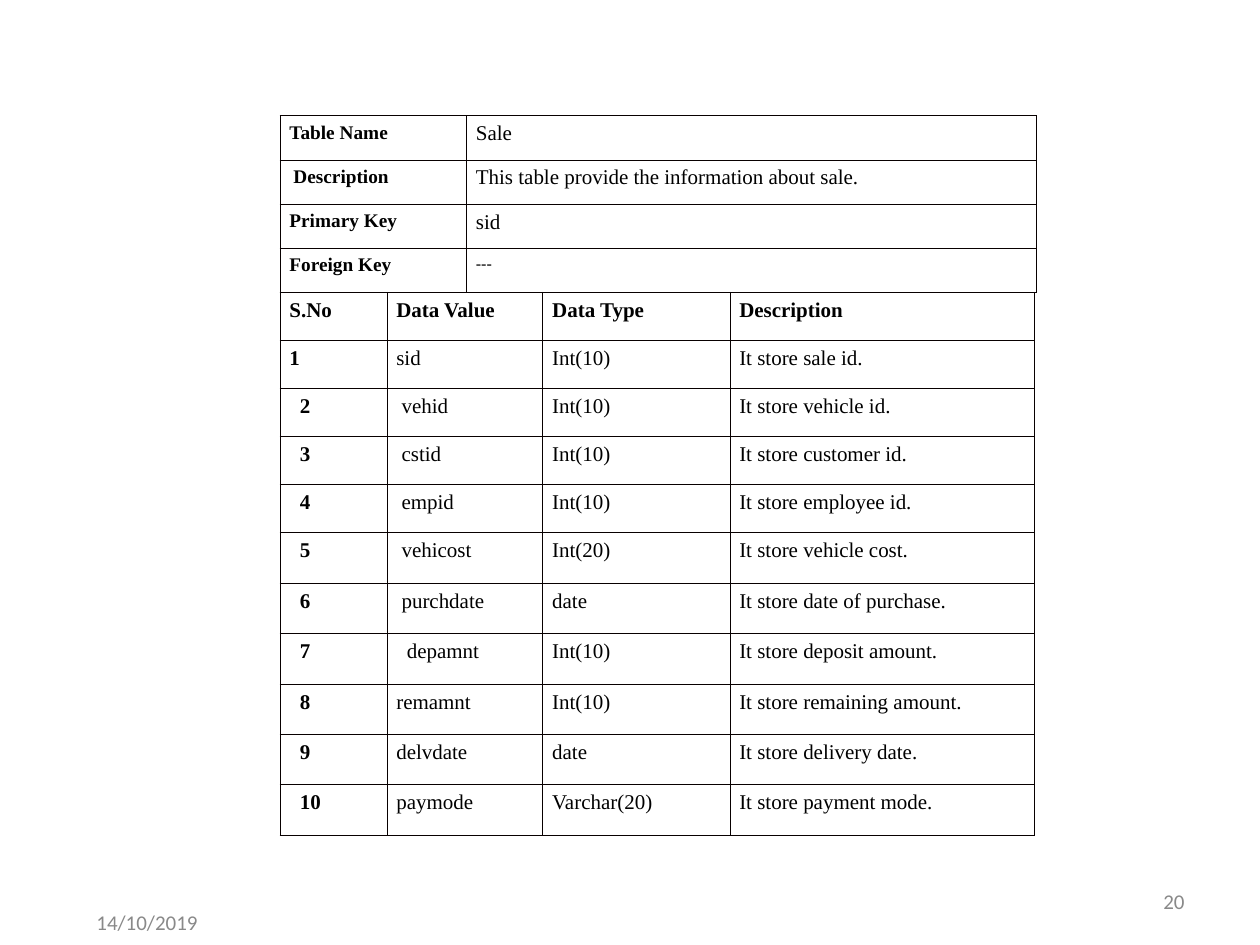
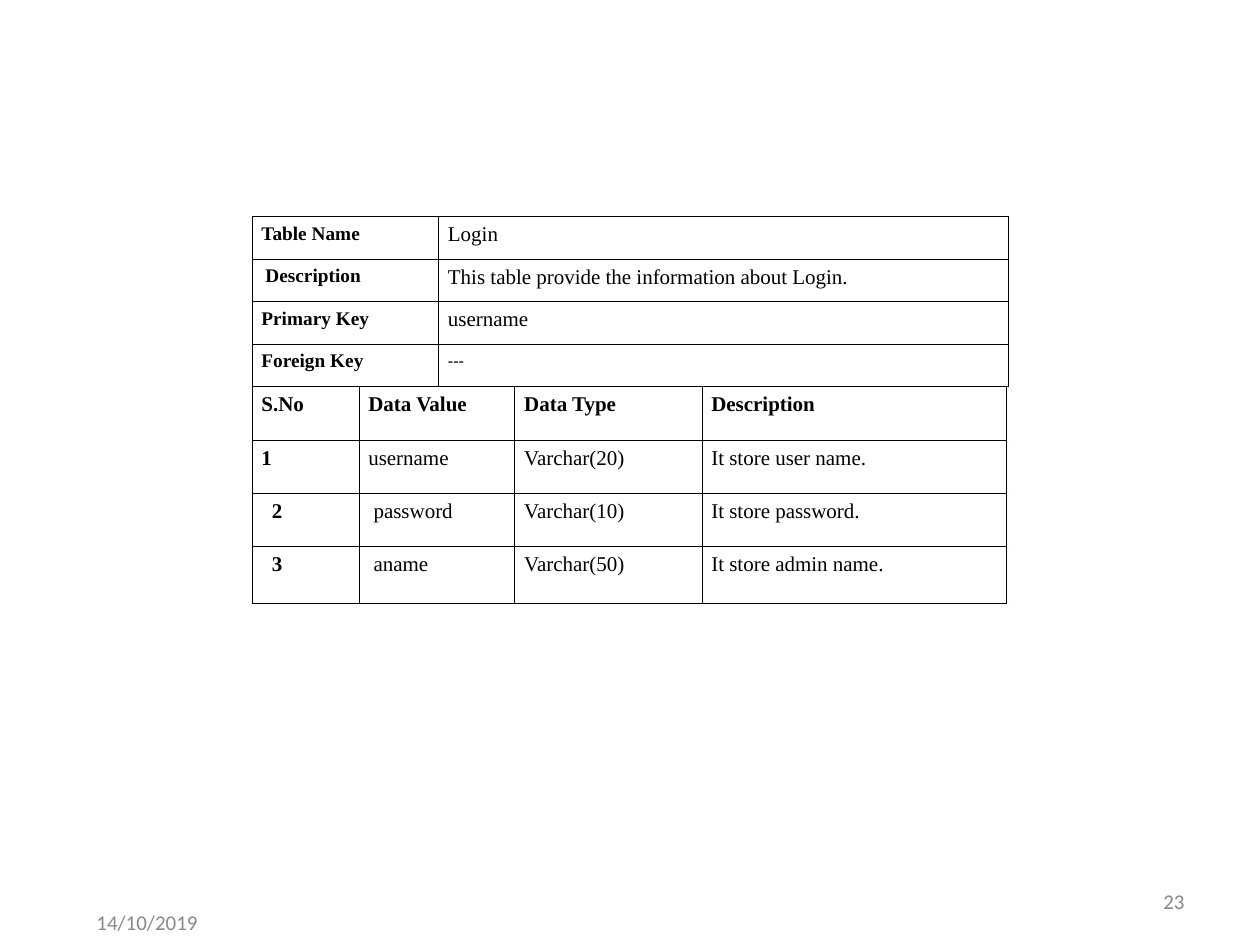
from lxml import etree
from pptx import Presentation
from pptx.dml.color import RGBColor
from pptx.enum import text
from pptx.oxml import ns
from pptx.util import Pt

COLORS = {"ink": "000000", "border": "080000", "footer": "898989"}
SERIF, SANS = "Times New Roman", "Calibri"
INFO_WIDTHS = [106.6, 325.4]
FIELD_WIDTHS = [61.1, 89.1, 106.9, 174.2]
INSET_X, INSET_Y = 5.4, 3.6
SPACE = 3  # step of the small indents in the field list


def style_text(paragraph, size, bold=False, face=SERIF, color="ink"):
    font = paragraph.runs[0].font
    font.size, font.bold, font.name = Pt(size), bold, face
    font.color.rgb = RGBColor.from_string(COLORS[color])


def add_grid(slide, left, top, widths, heights, rows):
    """Draw a ruled table; each cell is (wording, size, bold, face, indent)."""
    grid = slide.shapes.add_table(
        len(heights), len(widths), Pt(left), Pt(top), Pt(sum(widths)), Pt(sum(heights))
    ).table
    grid.first_row = grid.horz_banding = False
    for column, width in zip(grid.columns, widths):
        column.width = Pt(width)
    for row, height, entries in zip(grid.rows, heights, rows):
        row.height = Pt(height)
        for cell, (wording, size, bold, face, indent) in zip(row.cells, entries):
            cell.text_frame.text = wording
            style_text(cell.text_frame.paragraphs[0], size, bold, face)
            cell.margin_left, cell.margin_right = Pt(INSET_X + indent), Pt(INSET_X)
            cell.margin_top = cell.margin_bottom = Pt(INSET_Y)
            cell.fill.background()
            # Borders come before the fill in the cell properties
            properties = cell._tc.get_or_add_tcPr()
            for place, side in enumerate(("lnL", "lnR", "lnT", "lnB")):
                line = etree.Element(ns.qn(f"a:{side}"), w=str(Pt(0.45)))
                solid = etree.SubElement(line, ns.qn("a:solidFill"))
                etree.SubElement(solid, ns.qn("a:srgbClr"), val=COLORS["border"])
                properties.insert(place, line)


# Content: fields are (data value, indent in spaces, data type, description)
entities = [
    {
        "name": "Sale",
        "about": "This table provide the information about sale.",
        "key": "sid",
        "page": "20",
        "left": 160,
        "top": 66.2,
        "info_height": 25.2,
        "field_heights": [27.5] * 5 + [28.8] * 6,
        "fields": [
            ("sid", 0, "Int(10)", "It store sale id."),
            ("vehid", 1, "Int(10)", "It store vehicle id."),
            ("cstid", 1, "Int(10)", "It store customer id."),
            ("empid", 1, "Int(10)", "It store employee id."),
            ("vehicost", 1, "Int(20)", "It store vehicle cost."),
            ("purchdate", 1, "date", "It store date of purchase."),
            ("depamnt", 2, "Int(10)", "It store deposit amount."),
            ("remamnt", 0, "Int(10)", "It store remaining amount."),
            ("delvdate", 0, "date", "It store delivery date."),
            ("paymode", 0, "Varchar(20)", "It store payment mode."),
        ],
    },
    {
        "name": "Login",
        "about": "This table provide the information about Login.",
        "key": "username",
        "page": "23",
        "left": 144,
        "top": 123.8,
        "info_height": 24.3,
        "field_heights": [30.5] * 3 + [32.3],
        "fields": [
            ("username", 0, "Varchar(20)", "It store user name."),
            ("password", 1, "Varchar(10)", "It store password."),
            ("aname", 1, "Varchar(50)", "It store admin name."),
        ],
    },
]

deck = Presentation()
deck.slide_width, deck.slide_height = Pt(720), Pt(540)

for entity in entities:
    slide = deck.slides.add_slide(deck.slide_layouts[6])

    # Summary of the database table
    summary = [
        ("Table Name", entity["name"], 0),
        ("Description", entity["about"], 2.3),
        ("Primary Key", entity["key"], 0),
    ]
    info_rows = [
        [(label, 11, True, SERIF, indent), (value, 12, False, SERIF, 0)]
        for label, value, indent in summary
    ]
    info_rows.append([("Foreign Key", 11, True, SERIF, 0), ("---", 10, False, SANS, 0)])
    info_heights = [entity["info_height"]] * len(info_rows)
    add_grid(slide, entity["left"], entity["top"], INFO_WIDTHS, info_heights, info_rows)

    # Field list, directly below the summary
    headings = ("S.No", "Data Value", "Data Type", "Description")
    field_rows = [[(heading, 12, True, SERIF, 0) for heading in headings]]
    for number, (value, spaces, data_type, about) in enumerate(entity["fields"], 1):
        field_rows.append([
            (str(number), 12, True, SERIF, 0 if number == 1 else 2 * SPACE),
            (value, 12, False, SERIF, spaces * SPACE),
            (data_type, 12, False, SERIF, 0),
            (about, 12, False, SERIF, 0),
        ])
    fields_top = entity["top"] + sum(info_heights)
    add_grid(slide, entity["left"], fields_top, FIELD_WIDTHS,
             entity["field_heights"], field_rows)

    # Page number and date
    for wording, left, top, alignment in (
        (entity["page"], 516, 500.4, text.PP_ALIGN.RIGHT),
        ("14/10/2019", 48, 512.6, text.PP_ALIGN.LEFT),
    ):
        footer = slide.shapes.add_textbox(Pt(left), Pt(top), Pt(168), Pt(28.8)).text_frame
        footer.word_wrap = True
        footer.vertical_anchor = text.MSO_ANCHOR.MIDDLE
        footer.text = wording
        footer.paragraphs[0].alignment = alignment
        style_text(footer.paragraphs[0], 12, face=SANS, color="footer")

deck.save("out.pptx")
